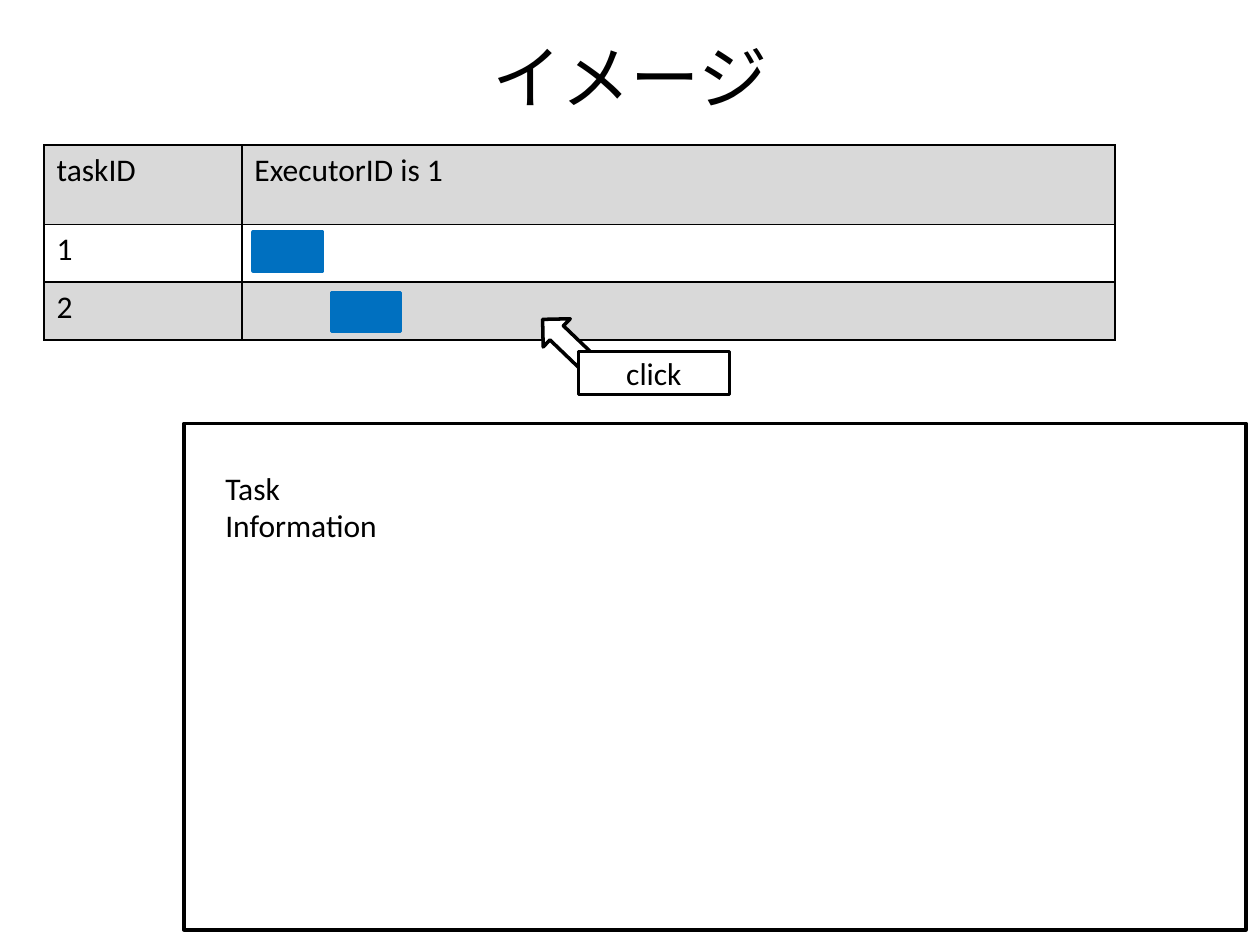
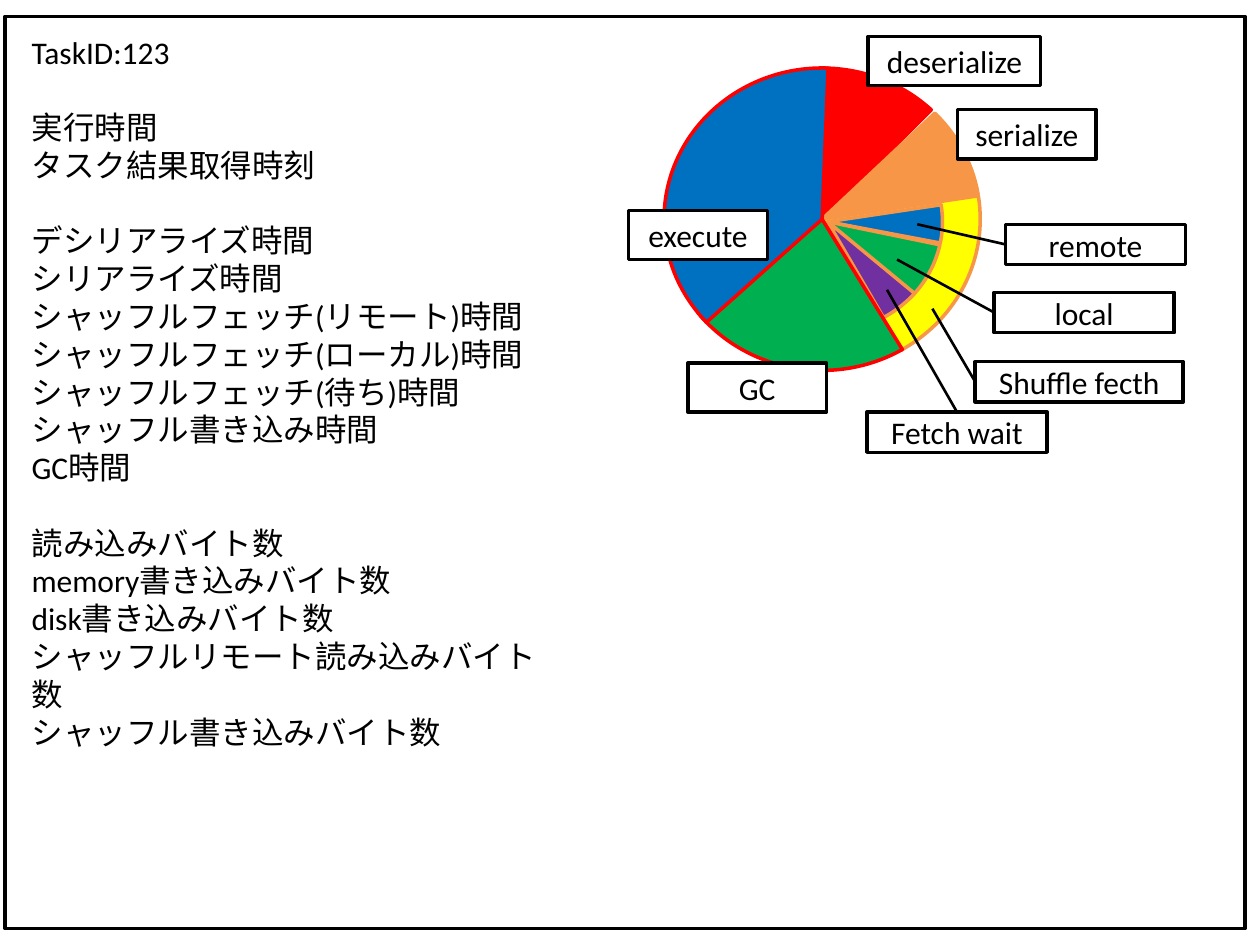
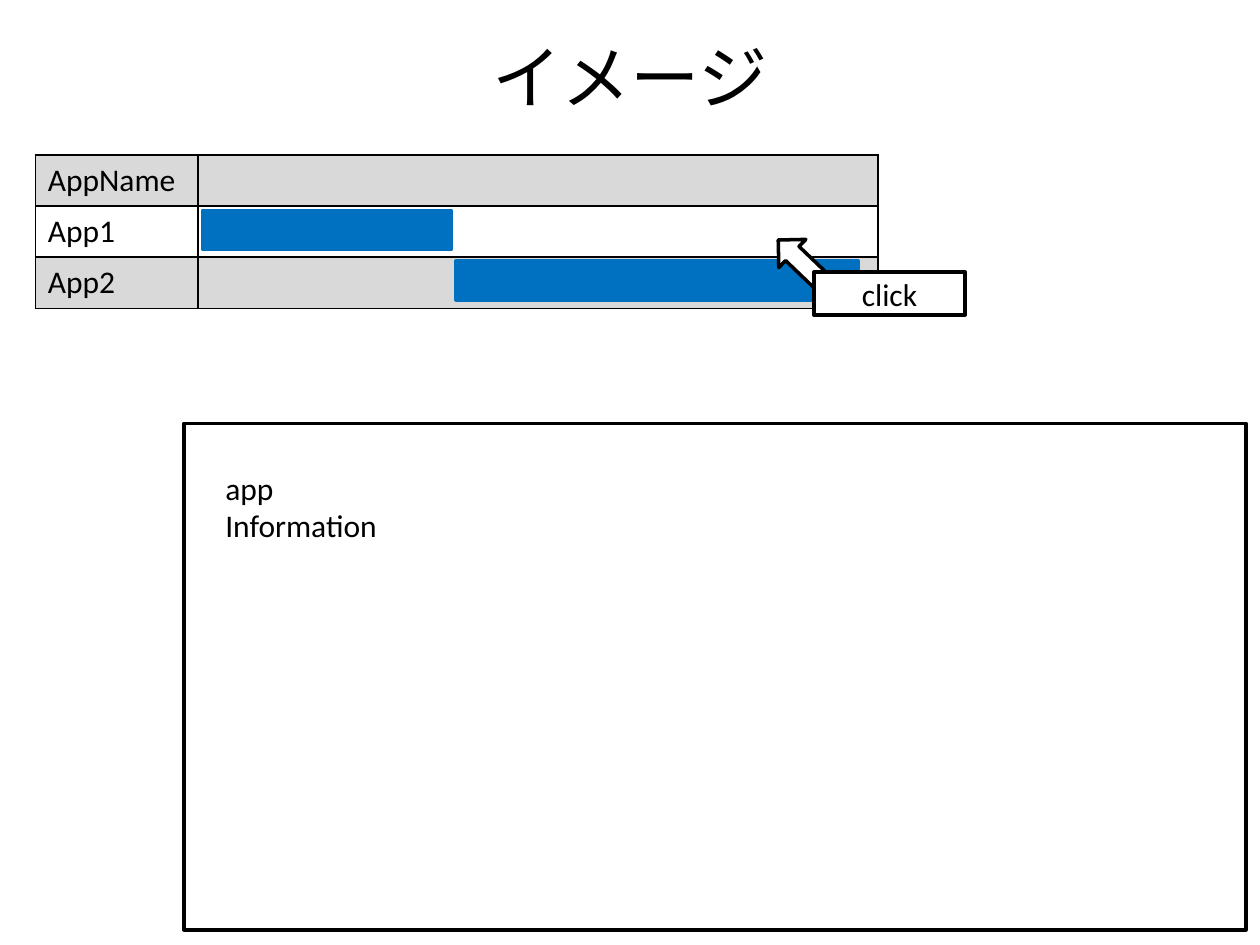
from dataclasses import dataclass

from lxml import etree
from pptx import Presentation
from pptx import util as u
from pptx.dml.color import RGBColor
from pptx.enum import shapes, text
from pptx.oxml import ns

# The slide is a grid of 100 columns by 75 rows, each cell a tenth of an inch
COLUMNS, ROWS = 100, 75
CELL = u.Inches(0.1)


@dataclass(frozen=True)
class Theme:
    font: str = "Calibri"
    title_size: float = 39.6
    body_size: float = 18
    blank_line: float = 21.5
    outline: float = 2
    leader: float = 1.5
    border: float = 1
    black: str = "000000"
    white: str = "FFFFFF"
    gray: str = "D9D9D9"
    blue: str = "0070C0"
    red: str = "FF0000"
    orange: str = "F79646"
    yellow: str = "FFFF00"
    green: str = "00B050"
    purple: str = "7030A0"


THEME = Theme()


@dataclass(frozen=True)
class Box:
    left: float
    top: float
    width: float = 0
    height: float = 0

    def inner(self, left, top, width=0, height=0):
        """A box placed relative to this one."""
        return Box(self.left + left, self.top + top, width, height)

    def lengths(self):
        sides = (self.left, self.top, self.width, self.height)
        return [u.Emu(round(side * CELL)) for side in sides]


TITLE_BOX = Box(5, 3, 90, 6.1)
DETAIL_BOX = Box(14.6, 33.6, 84.3, 40.2)
FRAME_BOX = Box(0.4, 1.3, 98.4, 72.4)
PIE_BOX = Box(52.7, 5.4, 25.1, 24)
RING_BOX = PIE_BOX.inner(3.9, 3.5, 18.2, 17.4)

METRIC_GROUPS = [
    ["TaskID:123"],
    ["実行時間", "タスク結果取得時刻"],
    ["デシリアライズ時間", "シリアライズ時間", "シャッフルフェッチ(リモート)時間",
     "シャッフルフェッチ(ローカル)時間", "シャッフルフェッチ(待ち)時間",
     "シャッフル書き込み時間", "GC時間"],
    ["読み込みバイト数", "memory書き込みバイト数", "disk書き込みバイト数",
     "シャッフルリモート読み込みバイト数", "シャッフル書き込みバイト数"],
]

# Box, start and end in degrees clockwise from the right, fill, line
SLICES = [
    (PIE_BOX, 270.44, 314.93, THEME.red, THEME.red),
    (PIE_BOX, 316.74, 350.88, THEME.orange, THEME.orange),
    (PIE_BOX, 351.49, 59.07, THEME.yellow, THEME.orange),
    (RING_BOX, 351.49, 10.71, THEME.blue, THEME.orange),
    (RING_BOX, 11.63, 43.17, THEME.green, THEME.orange),
    (RING_BOX, 39.56, 59.84, THEME.purple, THEME.orange),
    (PIE_BOX, 58.37, 142.98, THEME.green, THEME.red),
    (PIE_BOX, 138.28, 272.26, THEME.blue, THEME.red),
]

# Label, its place relative to the pie, and the end of its leader if any
SLICE_LABELS = [
    ("deserialize", (16.2, -2.5, 13.7, 3.9), None),
    ("serialize", (23.3, 3.3, 11, 3.9), None),
    ("Shuffle fecth", (24.7, 23.3, 16.5, 3.2), (21.3, 19.1)),
    ("remote", (27.1, 12.4, 14.3, 3.2), (20.1, 12.4)),
    ("local", (26.2, 17.8, 14.3, 3.2), (18.5, 15.2)),
    ("Fetch wait", (16.1, 27.3, 14.3, 3.2), (17.7, 17.6)),
    ("GC", (1.9, 23.4, 11, 3.9), None),
    ("execute", (-2.8, 11.3, 11, 3.9), None),
]


# Shared pieces
def color(value):
    return RGBColor.from_string(value)


def set_font(paragraph, size=THEME.body_size):
    paragraph.font.name = THEME.font
    paragraph.font.size = u.Pt(size)
    paragraph.font.color.rgb = color(THEME.black)


def place(shape, box):
    shape.left, shape.top, shape.width, shape.height = box.lengths()


def add_shape(slide, kind, box, fill=THEME.white, line=THEME.black):
    shape = slide.shapes.add_shape(kind, *box.lengths())
    shape.shadow.inherit = False
    shape.fill.solid()
    shape.fill.fore_color.rgb = color(fill)
    shape.line.color.rgb = color(line)
    shape.line.width = u.Pt(THEME.outline)
    return shape


def add_rectangle(slide, box, fill=THEME.white, line=THEME.black):
    return add_shape(slide, shapes.MSO_SHAPE.RECTANGLE, box, fill, line)


def add_label(slide, box, words):
    frame = add_rectangle(slide, box).text_frame
    frame.vertical_anchor = text.MSO_ANCHOR.MIDDLE
    paragraph = frame.paragraphs[0]
    paragraph.text = words
    paragraph.alignment = text.PP_ALIGN.CENTER
    set_font(paragraph)


def add_title(slide, words):
    title = slide.shapes.title
    place(title, TITLE_BOX)
    frame = title.text_frame
    frame.auto_size = text.MSO_AUTO_SIZE.NONE
    frame.vertical_anchor = text.MSO_ANCHOR.MIDDLE
    frame.text = words
    frame.paragraphs[0].alignment = text.PP_ALIGN.CENTER
    set_font(frame.paragraphs[0], THEME.title_size)


# Timeline table with its bars
def add_borders(cell):
    properties = cell._tc.get_or_add_tcPr()
    for side in ("lnL", "lnR", "lnT", "lnB"):
        line = etree.SubElement(properties, ns.qn(f"a:{side}"),
                                w=str(u.Pt(THEME.border)))
        fill = etree.SubElement(line, ns.qn("a:solidFill"))
        etree.SubElement(fill, ns.qn("a:srgbClr"), val=THEME.black)


def add_timeline(slide, origin, widths, heights, rows, bars):
    box = origin.inner(0, 0, sum(widths), sum(heights))
    frame = slide.shapes.add_table(len(rows), len(widths), *box.lengths())
    table = frame.table
    table.first_row = table.horz_banding = False
    for column, width in zip(table.columns, widths):
        column.width = u.Emu(round(width * CELL))
    for index, (row, height) in enumerate(zip(table.rows, heights)):
        row.height = u.Emu(round(height * CELL))
        for cell, words in zip(row.cells, rows[index]):
            cell.text = words
            set_font(cell.text_frame.paragraphs[0])
            add_borders(cell)
            cell.fill.solid()
            shade = THEME.white if index % 2 else THEME.gray
            cell.fill.fore_color.rgb = color(shade)
    for bar in bars:
        add_rectangle(slide, origin.inner(*bar), THEME.blue, THEME.blue)


def add_click(slide, origin):
    arrow = add_shape(slide, shapes.MSO_SHAPE.UP_ARROW,
                      origin.inner(0, 0, 3.1, 5.5))
    arrow.rotation = 313.8
    add_label(slide, origin.inner(2.4, 3.4, 12, 3.4), "click")


def add_detail(slide, box, words):
    add_rectangle(slide, box)
    note = slide.shapes.add_textbox(*box.inner(2.3, 3.1, 18, 7.1).lengths())
    note.text_frame.word_wrap = True
    note.text_frame.text = words
    set_font(note.text_frame.paragraphs[0])


def add_timeline_slide(presentation, timeline, click, detail):
    slide = presentation.slides.add_slide(presentation.slide_layouts[5])
    add_title(slide, "イメージ")
    add_timeline(slide, **timeline)
    add_click(slide, click)
    add_detail(slide, DETAIL_BOX, detail)


# Task details: metric list and pie
def add_metrics(body, box):
    place(body, box)
    frame = body.text_frame
    frame.auto_size = text.MSO_AUTO_SIZE.NONE
    frame.vertical_anchor = text.MSO_ANCHOR.TOP
    frame.text = "\n".join(line for group in METRIC_GROUPS for line in group)
    group_starts = {group[0] for group in METRIC_GROUPS[1:]}
    for paragraph in frame.paragraphs:
        properties = paragraph._p.get_or_add_pPr()
        properties.set("marL", "0")
        properties.set("indent", "0")
        etree.SubElement(properties, ns.qn("a:buNone"))
        starts_group = paragraph.text in group_starts
        paragraph.space_before = u.Pt(THEME.blank_line if starts_group else 0)
        set_font(paragraph)


def add_leader(slide, label, target):
    # Labels right of the target are joined at the left, others at the top
    if label.left > target.left:
        start = label.inner(0, label.height / 2)
    else:
        start = label.inner(label.width / 2, 0)
    leader = slide.shapes.add_connector(
        shapes.MSO_CONNECTOR.STRAIGHT,
        *start.lengths()[:2], *target.lengths()[:2])
    leader.line.color.rgb = color(THEME.black)
    leader.line.width = u.Pt(THEME.leader)
    etree.SubElement(leader._element.spPr, ns.qn("a:effectLst"))


def add_pie(slide, pie_box):
    for box, start, end, fill, line in SLICES:
        pie = add_shape(slide, shapes.MSO_SHAPE.PIE, box, fill, line)
        # Angles are stored in 60000ths of a degree, adjustments in 100000ths
        pie.adjustments[0], pie.adjustments[1] = start * 0.6, end * 0.6
    for words, position, target in SLICE_LABELS:
        label_box = pie_box.inner(*position)
        if target:
            add_leader(slide, label_box, pie_box.inner(*target))
        add_label(slide, label_box, words)


def add_task_slide(presentation):
    slide = presentation.slides.add_slide(presentation.slide_layouts[1])
    title = slide.shapes.title._element
    title.getparent().remove(title)
    body = slide.placeholders[1]
    frame = add_rectangle(slide, FRAME_BOX)
    body._element.addprevious(frame._element)
    add_metrics(body, FRAME_BOX.inner(1.1, 0.8, 42.2, 58.6))
    add_pie(slide, PIE_BOX)


def main():
    presentation = Presentation()
    presentation.slide_width = COLUMNS * CELL
    presentation.slide_height = ROWS * CELL

    tasks = dict(
        origin=Box(3.5, 11.5), widths=[15.7, 69.3], heights=[6.3, 4.6, 4.6],
        rows=[("taskID", "ExecutorID is 1"), ("1", ""), ("2", "")],
        bars=[(16.6, 6.9, 5.5, 3.1), (22.8, 11.7, 5.5, 3.1)])
    add_timeline_slide(presentation, tasks, Box(43.5, 24.5), "Task Information")

    add_task_slide(presentation)

    applications = dict(
        origin=Box(2.8, 12.3), widths=[12.9, 54], heights=[4, 4, 4],
        rows=[("AppName", ""), ("App1", ""), ("App2", "")],
        bars=[(13.3, 4.4, 19.7, 3.1), (33.4, 8.4, 31.9, 3.1)])
    add_timeline_slide(presentation, applications, Box(62.2, 18.2),
                       "app Information")

    presentation.save("out.pptx")


if __name__ == "__main__":
    main()
